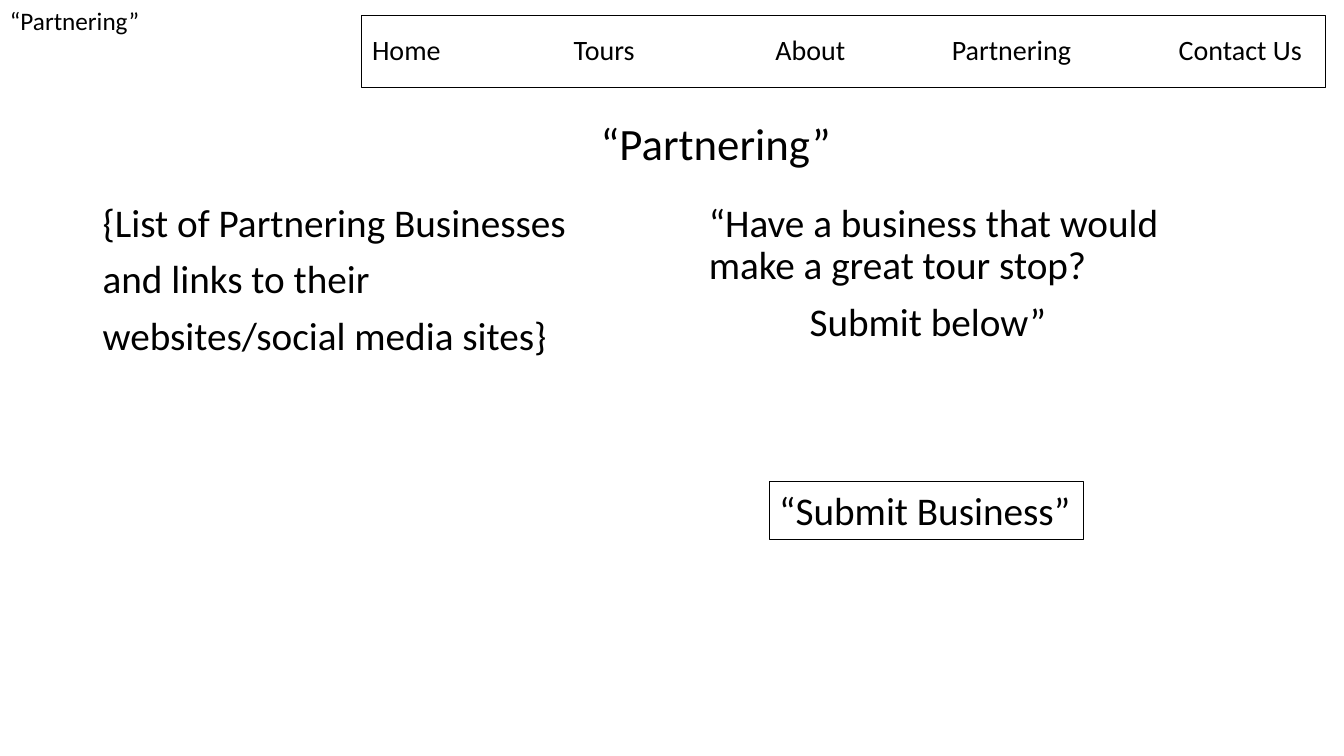
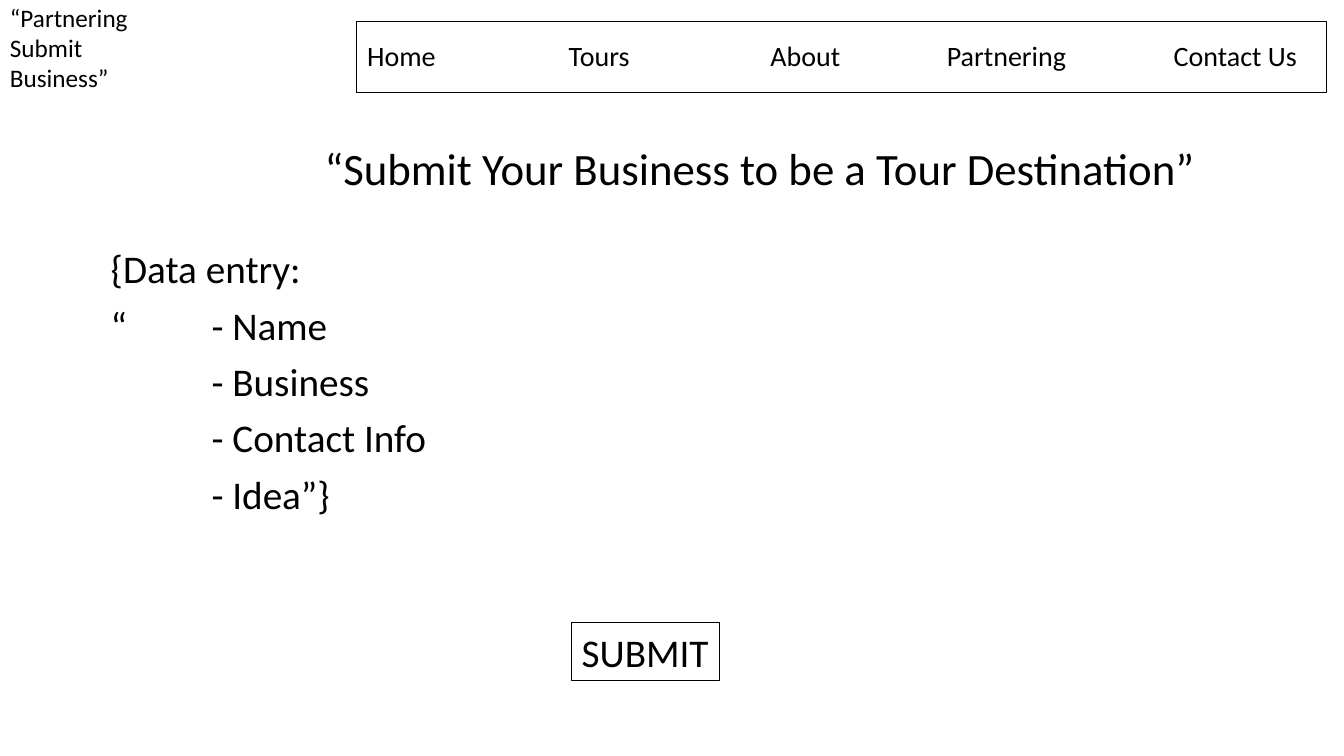
from lxml import etree
from pptx import Presentation
from pptx import util as u
from pptx.dml.color import RGBColor
from pptx.enum import shapes, text
from pptx.oxml import ns

WIDTH, HEIGHT = u.Inches(13.33), u.Inches(7.5)
BLACK = RGBColor(0, 0, 0)
FONT = "Calibri"
TITLE_ONLY = 5
LABEL_SIZE, NAV_SIZE, BODY_SIZE, HEADING_SIZE = 18, 20, 28, 32
NAV_ITEMS = ["Home", "Tours", "About", "Partnering", "Contact Us"]
NAV_TABS = [2, 4, 5.75, 8]  # inches from the start of the menu
BODY_TABS = [1]


def share(left, top, width, height):
    """Turn percentages of the slide into a position and a size."""
    return [round(value * side / 100) for value, side in
            zip((left, top, width, height), (WIDTH, HEIGHT, WIDTH, HEIGHT))]


def set_tabs(paragraph, stops):
    tab_list = etree.SubElement(paragraph._p.get_or_add_pPr(), ns.qn("a:tabLst"))
    for stop in stops:
        etree.SubElement(tab_list, ns.qn("a:tab"), pos=str(u.Inches(stop)), algn="l")


def write(shape, lines, size, line_spacing=1.0, space_before=0, tabs=(),
          wrap=True, grow=False, anchor=text.MSO_ANCHOR.TOP):
    frame = shape.text_frame
    frame.word_wrap = wrap
    frame.auto_size = (text.MSO_AUTO_SIZE.SHAPE_TO_FIT_TEXT if grow
                       else text.MSO_AUTO_SIZE.NONE)
    frame.vertical_anchor = anchor
    for index, line in enumerate(lines):
        paragraph = frame.add_paragraph() if index else frame.paragraphs[0]
        paragraph.alignment = text.PP_ALIGN.LEFT
        paragraph.line_spacing = line_spacing
        paragraph.space_before = u.Pt(space_before)
        if tabs:
            set_tabs(paragraph, tabs)
        run = paragraph.add_run()
        run.text = line
        run.font.name = FONT
        run.font.size = u.Pt(size)
        run.font.color.rgb = BLACK


def outline(shape):
    shape.fill.background()
    shape.line.color.rgb = BLACK
    shape.line.width = u.Pt(0.75)


def add_text(slide, area, lines, size, **formatting):
    write(slide.shapes.add_textbox(*share(*area)), lines, size, **formatting)


def add_body(slide, area, lines):
    add_text(slide, area, lines, BODY_SIZE, line_spacing=0.9,
             space_before=10, tabs=BODY_TABS)


def add_button(slide, area, caption):
    button = slide.shapes.add_shape(shapes.MSO_SHAPE.RECTANGLE, *share(*area))
    button.shadow.inherit = False
    outline(button)
    write(button, [caption], BODY_SIZE, wrap=False, grow=True)


def add_page(presentation, nav_area, label_area, label, heading_area, heading):
    """Add a slide with its menu bar, page label and heading."""
    slide = presentation.slides.add_slide(presentation.slide_layouts[TITLE_ONLY])
    # Menu bar
    menu = slide.shapes.title
    menu.left, menu.top, menu.width, menu.height = share(*nav_area)
    outline(menu)
    write(menu, ["\t".join(NAV_ITEMS)], NAV_SIZE, line_spacing=0.9,
          tabs=NAV_TABS, anchor=text.MSO_ANCHOR.MIDDLE)
    # Page label and heading
    add_text(slide, label_area, label, LABEL_SIZE)
    add_text(slide, heading_area, [heading], HEADING_SIZE, wrap=False, grow=True)
    return slide


def add_partnering(presentation):
    slide = add_page(presentation, (26.93, 2, 71.72, 9.6),
                     (0, 0, 11.25, 13.5), ["“Partnering”"],
                     (43.96, 14.67, 18.83, 8.5), "“Partnering”")
    # Two columns: partners and invitation
    add_body(slide, (6.9, 26.27, 38, 63.5),
             ["{List of Partnering Businesses", "and links to their",
              "websites/social media sites}"])
    add_body(slide, (52, 26.27, 38, 44.8),
             ["“Have a business that would make a great tour stop?",
              "\tSubmit below”"])
    add_button(slide, (57.24, 63.73, 23.4, 7.6), "“Submit Business”")


def add_submission(presentation):
    slide = add_page(presentation, (26.56, 2.8, 72.17, 9.47),
                     (0, -0.4, 12.3, 17.5), ["“Partnering", "Submit Business”"],
                     (23.41, 18, 67, 8.5),
                     "“Submit Your Business to be a Tour Destination”")
    # Entry fields
    add_body(slide, (7.5, 32.4, 31.8, 63.5),
             ["{Data entry:", "“\t- Name", "\t- Business",
              "\t- Contact Info", "\t- Idea”}"])
    add_button(slide, (42.54, 82.4, 11.03, 7.6), "SUBMIT")


def main():
    presentation = Presentation()
    presentation.slide_width, presentation.slide_height = WIDTH, HEIGHT
    add_partnering(presentation)
    add_submission(presentation)
    presentation.save("out.pptx")


if __name__ == "__main__":
    main()
